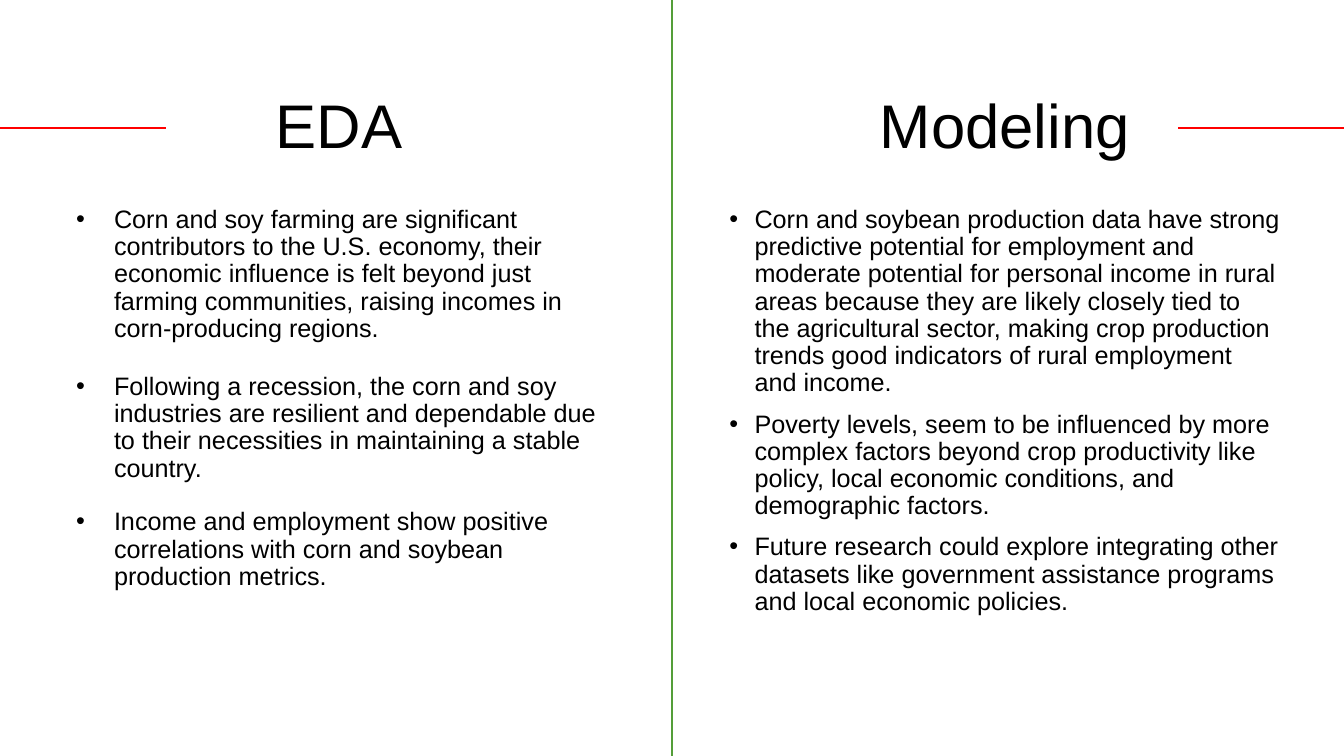
from dataclasses import dataclass

from lxml import etree
from pptx import Presentation
from pptx.dml.color import RGBColor
from pptx.enum.shapes import MSO_CONNECTOR
from pptx.enum.text import MSO_ANCHOR, MSO_AUTO_SIZE, PP_ALIGN
from pptx.oxml.ns import qn
from pptx.util import Pt

# Scale, colours and enum members
PX = 9525
WIDE, HIGH = 1280, 720
BLACK = RGBColor(0x00, 0x00, 0x00)
GREEN = RGBColor(0x54, 0x9E, 0x39)
RED = RGBColor(0xFF, 0x00, 0x00)
LEFT, CENTER = PP_ALIGN.LEFT, PP_ALIGN.CENTER
TOP, MIDDLE = MSO_ANCHOR.TOP, MSO_ANCHOR.MIDDLE
STRAIGHT = MSO_CONNECTOR.STRAIGHT
NO_FIT = MSO_AUTO_SIZE.NONE
FONT = "Arial"

# Shared places of the two columns
COL_W = 544
HEAD_Y, HEAD_H = 53, 139
LIST_Y, LIST_H = 192, 457
RULE_Y, RULE_W = 122, 158


@dataclass
class Column:
    x: int
    head: str
    points: list[str]
    gaps: list[int]  # points of space before each paragraph
    inset: int
    hang: int


@dataclass
class Rule:
    x1: int
    y1: int
    x2: int
    y2: int
    color: RGBColor
    weight: float


COLUMNS = [
    Column(51, "EDA", [
        "Corn and soy farming are significant contributors to the U.S. economy, "
        "their economic influence is felt beyond just farming communities, "
        "raising incomes in corn-producing regions.",
        "Following a recession, the corn and soy industries are resilient and "
        "dependable due to their necessities in maintaining a stable country.",
        "Income and employment show positive correlations with corn and "
        "soybean production metrics.",
    ], gaps=[0, 22, 19], inset=48, hang=36),
    Column(685, "Modeling", [
        "Corn and soybean production data have strong predictive potential for "
        "employment and moderate potential for personal income in rural areas "
        "because they are likely closely tied to the agricultural sector, making "
        "crop production trends good indicators of rural employment and income.",
        "Poverty levels, seem to be influenced by more complex factors beyond "
        "crop productivity like policy, local economic conditions, and "
        "demographic factors.",
        "Future research could explore integrating other datasets like "
        "government assistance programs and local economic policies.",
    ], gaps=[0, 10, 10], inset=24, hang=24),
]

RULES = [
    Rule(WIDE // 2, 0, WIDE // 2, HIGH, GREEN, 1),
    Rule(WIDE - RULE_W, RULE_Y, WIDE, RULE_Y, RED, 1.5),
    Rule(0, RULE_Y, RULE_W, RULE_Y, RED, 1.5),
]


def place(shape, x: int, y: int, w: int, h: int) -> None:
    shape.left, shape.top = x * PX, y * PX
    shape.width, shape.height = w * PX, h * PX


def write(shape, texts: list[str], *, size: int, align=LEFT, anchor=TOP,
          gaps: list[int], inset: int = 0, hang: int = 0) -> None:
    frame = shape.text_frame
    frame.word_wrap = True
    frame.auto_size = NO_FIT
    frame.vertical_anchor = anchor
    frame.text = "\n".join(texts)
    for para, gap in zip(frame.paragraphs, gaps):
        para.alignment = align
        para.line_spacing = 0.9
        para.space_before, para.space_after = Pt(gap), Pt(0)
        font = para.runs[0].font
        font.name, font.size, font.color.rgb = FONT, Pt(size), BLACK
        if hang:
            props = para._p.get_or_add_pPr()
            props.set("marL", str(inset * PX))
            props.set("indent", str(-hang * PX))
            etree.SubElement(props, qn("a:buFont"), typeface=FONT)
            etree.SubElement(props, qn("a:buChar"), char="•")


def draw(slide, rule: Rule) -> None:
    line = slide.shapes.add_connector(
        STRAIGHT, rule.x1 * PX, rule.y1 * PX, rule.x2 * PX, rule.y2 * PX)
    line.line.color.rgb = rule.color
    line.line.width = Pt(rule.weight)
    etree.SubElement(line._element.spPr, qn("a:effectLst"))


def main() -> None:
    deck = Presentation()
    deck.slide_width, deck.slide_height = WIDE * PX, HIGH * PX
    slide = deck.slides.add_slide(deck.slide_layouts[3])

    # Headings and lists
    title, *lists = slide.placeholders
    heads = [title, slide.shapes.add_textbox(0, 0, PX, PX)]
    for col, head, body in zip(COLUMNS, heads, lists):
        place(head, col.x, HEAD_Y, COL_W, HEAD_H)
        write(head, [col.head], size=44, align=CENTER, anchor=MIDDLE, gaps=[0])
        place(body, col.x, LIST_Y, COL_W, LIST_H)
        write(body, col.points, size=18, gaps=col.gaps,
              inset=col.inset, hang=col.hang)

    # Divider and heading rules
    for rule in RULES:
        draw(slide, rule)

    deck.save("out.pptx")


if __name__ == "__main__":
    main()
